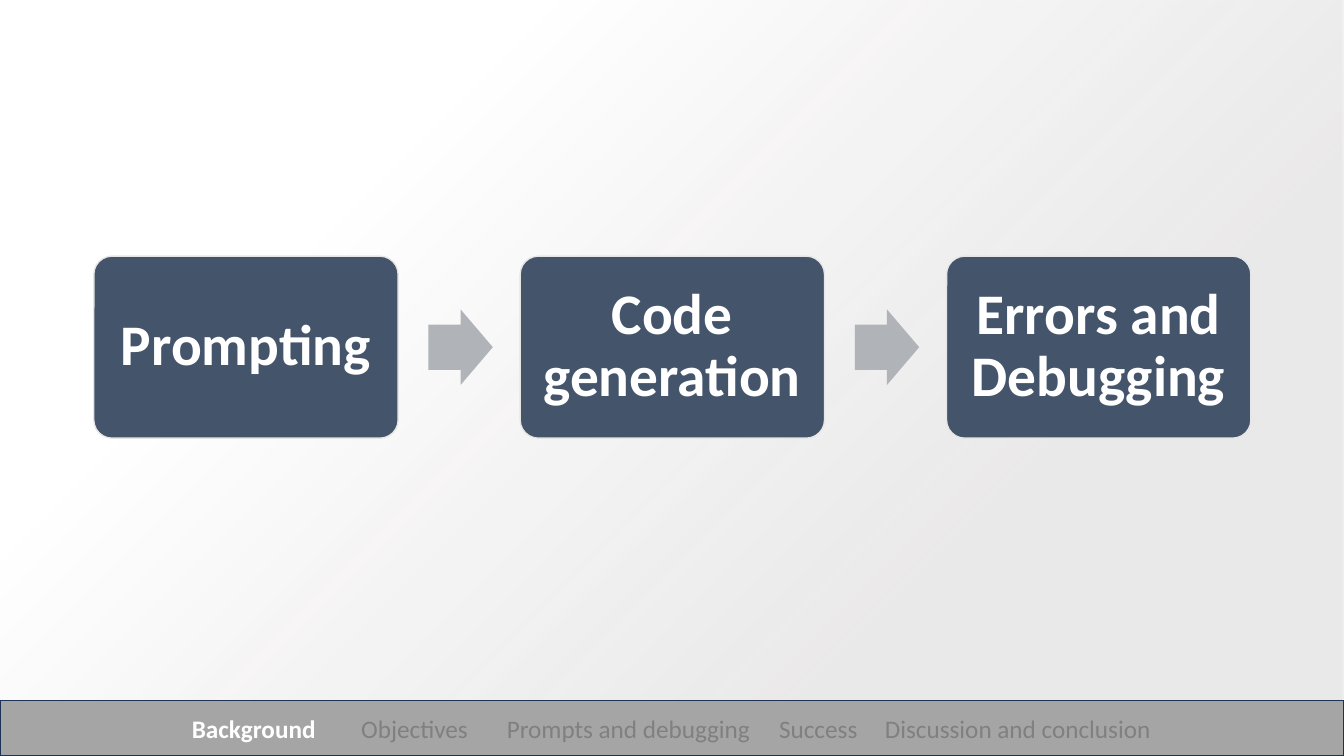
from lxml import etree
from pptx import Presentation
from pptx.dml.color import RGBColor
from pptx.enum.shapes import MSO_SHAPE
from pptx.enum.text import MSO_ANCHOR, PP_ALIGN
from pptx.oxml import parse_xml
from pptx.oxml.ns import nsdecls, qn
from pptx.util import Pt

RECT, ROUNDED, ARROW = (MSO_SHAPE.RECTANGLE, MSO_SHAPE.ROUNDED_RECTANGLE,
                        MSO_SHAPE.RIGHT_ARROW)
LEFT, CENTER, MIDDLE = PP_ALIGN.LEFT, PP_ALIGN.CENTER, MSO_ANCHOR.MIDDLE

WHITE = RGBColor(0xFF, 0xFF, 0xFF)
LIGHT = RGBColor(0xE7, 0xE6, 0xE6)
SLATE = RGBColor(0x44, 0x54, 0x6A)
ARROW_GREY = RGBColor(0xB0, 0xB4, 0xB9)
BAR_GREY = RGBColor(0xA5, 0xA5, 0xA5)
NAVY = RGBColor(0x1E, 0x32, 0x56)
MUTED = RGBColor(0x80, 0x80, 0x80)

WIDTH, HEIGHT = 960, 540
STEPS = ["Prompting", "Code generation", "Errors and Debugging"]
SECTIONS = ["Background", "Objectives", "Prompts and debugging", "Success",
            "Discussion and conclusion"]
SECTION_LEFTS = [137, 258, 362, 556.5, 632]


class Deck:
    font = "Calibri"

    def __init__(self, prs):
        self.s = prs.slides.add_slide(prs.slide_layouts[6])

    def shape(self, kind, box, fill=None, line=None, adj=()):
        sp = self.s.shapes.add_shape(kind, *map(Pt, box))
        sp.shadow.inherit = False
        for i, value in enumerate(adj):
            sp.adjustments[i] = value
        if fill is not None:
            sp.fill.solid()
            sp.fill.fore_color.rgb = fill
        if line is None:
            sp.line.fill.background()
        else:
            sp.line.color.rgb = line
            sp.line.width = Pt(1)
        return sp

    def backdrop(self):
        sp = self.shape(RECT, (0, 0, WIDTH, HEIGHT))
        grad = parse_xml(
            f'<a:gradFill {nsdecls("a")} rotWithShape="1"><a:gsLst>'
            f'<a:gs pos="28000"><a:srgbClr val="{LIGHT}">'
            '<a:alpha val="84000"/></a:srgbClr></a:gs>'
            f'<a:gs pos="74000"><a:srgbClr val="{WHITE}"/></a:gs></a:gsLst>'
            '<a:path path="circle"><a:fillToRect l="100000" t="100000"/>'
            '</a:path></a:gradFill>')
        sp.element.spPr.find(qn("a:prstGeom")).addnext(grad)

    def frame(self, sp, align, **margins):
        tf = sp.text_frame
        formats = {"word_wrap": True, "vertical_anchor": MIDDLE, **margins}
        for name, value in formats.items():
            setattr(tf, name, value)
        p = tf.paragraphs[0]
        p.alignment = align
        return p

    def run(self, p, text, size, color, bold):
        r = p.add_run()
        r.text = text
        formats = {"name": self.font, "size": Pt(size), "bold": bold}
        for name, value in formats.items():
            setattr(r.font, name, value)
        r.font.color.rgb = color

    def step(self, text, box):
        sp = self.shape(ROUNDED, box, SLATE, LIGHT, [0.1])
        p = self.frame(sp, CENTER, margin_left=Pt(12), margin_right=Pt(12))
        p.line_spacing = 0.9
        self.run(p, text, 41, WHITE, True)

    def arrow(self, box):
        self.shape(ARROW, box, ARROW_GREY, adj=[0.6, 0.5])

    def section_bar(self, box, sections, lefts):
        sp = self.shape(RECT, box, BAR_GREY, NAVY)
        p = self.frame(sp, LEFT, margin_left=Pt(lefts[0]))
        # Tab stops place each section name
        tabs = etree.SubElement(p._p.get_or_add_pPr(), qn("a:tabLst"))
        for left in lefts[1:]:
            etree.SubElement(tabs, qn("a:tab"), pos=str(Pt(left - lefts[0])),
                             algn="l")
        for i, text in enumerate(sections):
            current = i == 0
            self.run(p, text if current else "\t" + text, 18,
                     WHITE if current else MUTED, current)


def main():
    prs = Presentation()
    prs.slide_width, prs.slide_height = Pt(WIDTH), Pt(HEIGHT)
    deck = Deck(prs)

    # Background gradient
    deck.backdrop()

    # Three steps joined by arrows
    for i, text in enumerate(STEPS):
        left = 67 + i * 304.56
        deck.step(text, (left, 183, 217.4, 130))
        if i < len(STEPS) - 1:
            deck.arrow((left + 239, 221, 46, 54))

    # Section bar along the bottom
    deck.section_bar((0, 500.4, WIDTH, 39.6), SECTIONS, SECTION_LEFTS)

    prs.save("out.pptx")


if __name__ == "__main__":
    main()
